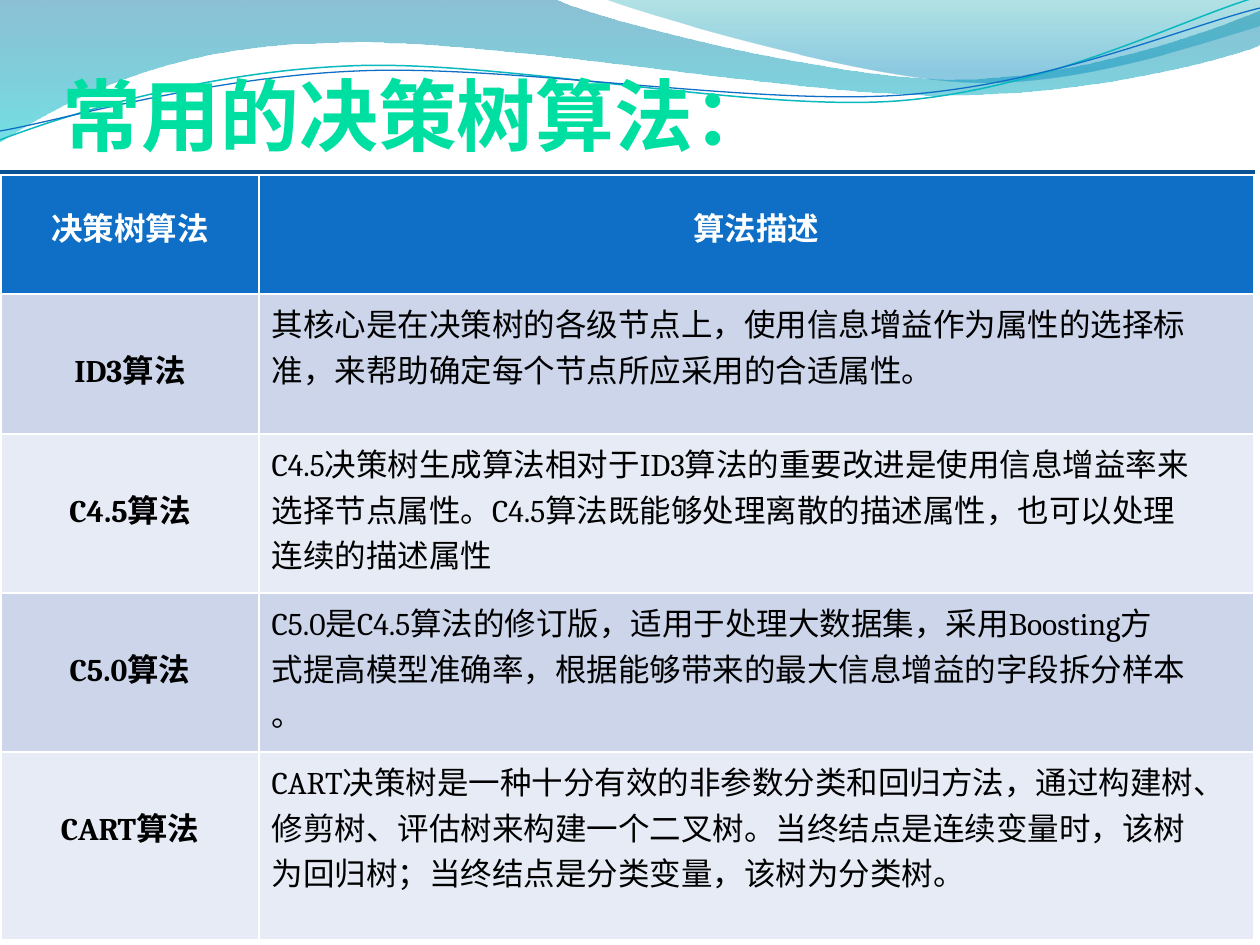
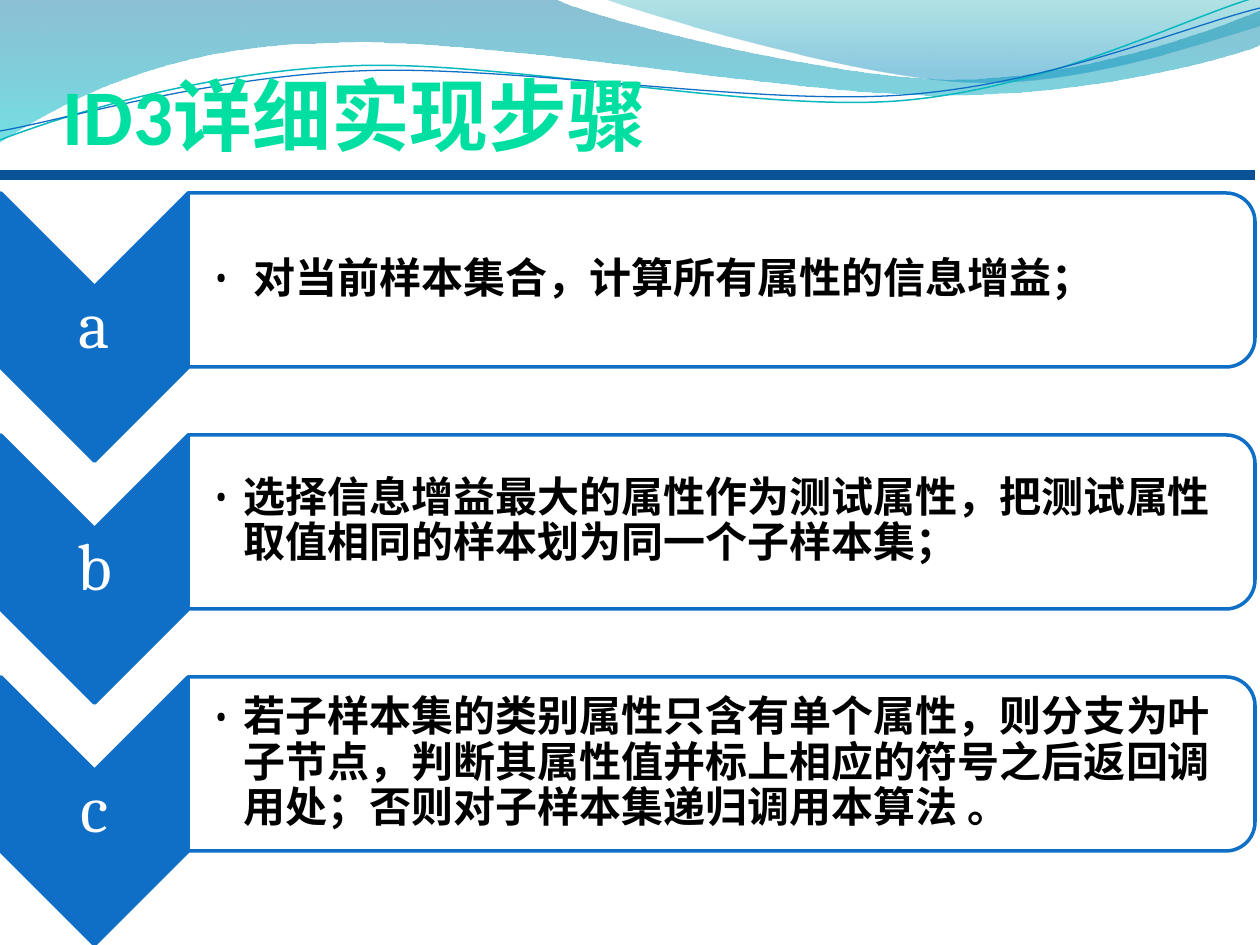
import math

from lxml import etree
from pptx import Presentation
from pptx.dml.color import RGBColor
from pptx.enum.shapes import MSO_CONNECTOR, MSO_SHAPE
from pptx.enum.text import MSO_ANCHOR, PP_ALIGN
from pptx.oxml.ns import qn
from pptx.util import Emu, Pt

STRAIGHT = MSO_CONNECTOR.STRAIGHT
CHEVRON = MSO_SHAPE.CHEVRON
ROUND_TOP = MSO_SHAPE.ROUND_2_SAME_RECTANGLE
MIDDLE, BOTTOM = MSO_ANCHOR.MIDDLE, MSO_ANCHOR.BOTTOM
LEFT, CENTER = PP_ALIGN.LEFT, PP_ALIGN.CENTER

WHITE = RGBColor(0xFF, 0xFF, 0xFF)
BLACK = RGBColor(0x00, 0x00, 0x00)
BLUE = RGBColor(0x0F, 0x6F, 0xC6)
NAVY = RGBColor(0x09, 0x52, 0x95)
MINT = RGBColor(0x00, 0xDF, 0xA2)
CYAN = RGBColor(0x0A, 0xB8, 0xBF)
WAVE_TOP = RGBColor(0x00, 0x74, 0xA1)
WAVE_END = RGBColor(0x00, 0xC6, 0xCF)
CREST_TOP = RGBColor(0x00, 0xA1, 0xA9)
CREST_END = RGBColor(0x00, 0x8B, 0xBF)
ROW_DARK = RGBColor(0xCC, 0xD5, 0xEA)
ROW_LIGHT = RGBColor(0xE7, 0xEB, 0xF5)

TITLE_FONT, BODY_FONT = "Calibri", "Cambria"
WIDTH, HEIGHT = 1260, 945
SCALE = 914400 / 126
TILT = 357.3

WAVE = [(0, 0), (554, -1), (600, 21, 837, 79, 955, 79),
        (1075, 79, 1207, 33, 1260, 11), (1261, 45),
        (1239, 55, 1096, 96, 940, 95), (784, 95, 481, 35, 324, 43),
        (163, 45, 58, 105, -1, 142), (0, 0)]
CREST = [(604, -1), (642, 14, 859, 78, 969, 82),
         (1079, 87, 1211, 40, 1260, 26), (1260, 0), (604, -1)]
CYAN_CURVE = [(0, 140), (60, 117, 199, 72, 349, 66),
              (498, 59, 747, 112, 898, 101), (1049, 89, 1182, 19, 1257, -3)]
BLUE_CURVE = [(0, 131), (59, 121, 207, 77, 357, 71),
              (508, 64, 752, 106, 903, 95), (1053, 84, 1186, 26, 1260, 8)]

ALGORITHMS = [
    ("ID3算法", ["其核心是在决策树的各级节点上，使用信息增益作为属性的选择标",
               "准，来帮助确定每个节点所应采用的合适属性。"]),
    ("C4.5算法", ["C4.5决策树生成算法相对于ID3算法的重要改进是使用信息增益率来",
                "选择节点属性。C4.5算法既能够处理离散的描述属性，也可以处理",
                "连续的描述属性"]),
    ("C5.0算法", ["C5.0是C4.5算法的修订版，适用于处理大数据集，采用Boosting方",
                "式提高模型准确率，根据能够带来的最大信息增益的字段拆分样本",
                "。"]),
    ("CART算法", ["CART决策树是一种十分有效的非参数分类和回归方法，通过构建树、",
                "修剪树、评估树来构建一个二叉树。当终结点是连续变量时，该树",
                "为回归树；当终结点是分类变量，该树为分类树。"]),
]
STEPS = [
    ("a", " 对当前样本集合，计算所有属性的信息增益；"),
    ("b", "选择信息增益最大的属性作为测试属性，把测试属性取值相同的样本划为同一个子样本集；"),
    ("c", "若子样本集的类别属性只含有单个属性，则分支为叶子节点，判断其属性值并标上相应的符号"
          "之后返回调用处；否则对子样本集递归调用本算法 。"),
]


def px(value):
    return Emu(round(value * SCALE))


def add_element(parent, tag, **attributes):
    return etree.SubElement(parent, qn(tag), attributes)


def write(frame, lines, size=18, color=BLACK, font=BODY_FONT, bold=False,
          align=LEFT, spacing=None, bullet=None):
    for index, line in enumerate(lines):
        para = frame.add_paragraph() if index else frame.paragraphs[0]
        para.alignment = align
        if spacing:
            para.line_spacing = spacing
        if bullet:
            para.level = 1
            properties = para._p.get_or_add_pPr()
            indent = px(32)
            properties.set("marL", str(indent))
            properties.set("indent", str(-indent))
            add_element(properties, "a:buFont", typeface=font)
            add_element(properties, "a:buChar", char=bullet)
        span = para.add_run()
        span.text = line
        span.font.size = Pt(size)
        span.font.name = font
        span.font.bold = bold
        span.font.color.rgb = color
        span._r.get_or_add_rPr().set("lang", "zh-CN")


def text_box(page, box, text, insets, anchor=MIDDLE, **style):
    frame = page.shapes.add_textbox(*map(px, box)).text_frame
    frame.word_wrap = True
    frame.vertical_anchor = anchor
    (frame.margin_left, frame.margin_top,
     frame.margin_right, frame.margin_bottom) = map(px, insets)
    write(frame, [text], **style)


def set_opacity(shape, *percents):
    colors = shape._element.spPr.iter(qn("a:srgbClr"))
    for color, percent in zip(colors, percents):
        add_element(color, "a:alpha", val=str(percent * 1000))


def outline(page, sections, closed, turn=None):
    points = [pair for section in sections for pair in zip(section[::2], section[1::2])]
    if turn:
        points = [turn(*point) for point in points]
    points = [(px(x), px(y)) for x, y in points]
    builder = page.shapes.build_freeform(*points[0])
    builder.add_line_segments(points[1:], close=closed)
    shape = builder.convert_to_shape()
    shape.shadow.inherit = False
    segments = iter(list(shape._element.spPr.iter(qn("a:lnTo"))))
    for section in sections[1:]:
        first = next(segments)
        if len(section) == 6:
            bend = etree.Element(qn("a:cubicBezTo"))
            first.addprevious(bend)
            for segment in (first, next(segments), next(segments)):
                bend.append(segment[0])
                segment.getparent().remove(segment)
    return shape


def band(page, sections, stops):
    shape = outline(page, sections, True)
    shape.line.fill.background()
    shape.fill.gradient()
    shape.fill.gradient_angle = 270
    for stop, (position, color, _) in zip(shape.fill.gradient_stops, stops):
        stop.position = position
        stop.color.rgb = color
    set_opacity(shape, *(opacity for _, _, opacity in stops))


def curve(page, sections, color, width, center):
    angle = math.radians(-TILT)
    cosine, sine = math.cos(angle), math.sin(angle)

    def level(x, y):
        x, y = x - center[0], y - center[1]
        return center[0] + x * cosine - y * sine, center[1] + x * sine + y * cosine

    shape = outline(page, sections, False, level)
    shape.rotation = TILT
    shape.fill.background()
    shape.line.color.rgb = color
    shape.line.width = Pt(width)


def add_page(deck, title):
    page = deck.slides.add_slide(deck.slide_layouts[6])
    band(page, WAVE, [(0, WAVE_TOP, 45), (1, WAVE_END, 55)])
    band(page, CREST, [(0, CREST_TOP, 30), (0.8, CREST_END, 45)])
    curve(page, CYAN_CURVE, CYAN, 0.85, (629, 72))
    curve(page, BLUE_CURVE, BLUE, 0.75, (629, 74))
    text_box(page, (63, 97, 1134, 157), title, (0, 6, 0, 97), anchor=BOTTOM,
             size=45, color=MINT, font=TITLE_FONT, bold=True)
    rule = page.shapes.add_connector(STRAIGHT, px(0), px(175), px(1255), px(175))
    rule.line.color.rgb = NAVY
    rule.line.width = Pt(6)
    add_element(rule._element.spPr, "a:effectLst")
    return page


def fill_cell(cell, lines, fill, **style):
    write(cell.text_frame, lines, **style)
    cell.fill.solid()
    cell.fill.fore_color.rgb = fill


def algorithm_table(page, left, top, columns, rows):
    table = page.shapes.add_table(len(rows), len(columns), px(left), px(top),
                                  px(sum(columns)), px(sum(rows))).table
    for column, width in zip(table.columns, columns):
        column.width = px(width)
    for row, height in zip(table.rows, rows):
        row.height = px(height)
    for index, heading in enumerate(("决策树算法", "算法描述")):
        fill_cell(table.cell(0, index), [heading], BLUE,
                  color=WHITE, bold=True, align=CENTER, spacing=1.5)
    for index, (name, lines) in enumerate(ALGORITHMS, 1):
        fill = ROW_DARK if index % 2 else ROW_LIGHT
        fill_cell(table.cell(index, 0), [name], fill,
                  bold=True, align=CENTER, spacing=2.0)
        fill_cell(table.cell(index, 1), lines, fill)


def turned_shape(page, kind, left, top, width, height, fill):
    shift = (width - height) / 2
    shape = page.shapes.add_shape(kind, px(left + shift), px(top - shift),
                                  px(height), px(width))
    shape.rotation = 90
    shape.shadow.inherit = False
    shape.fill.solid()
    shape.fill.fore_color.rgb = fill
    shape.line.color.rgb = BLUE
    shape.line.width = Pt(2)
    return shape


def step(page, left, top, width, letter, text):
    arrow = 187
    turned_shape(page, CHEVRON, left, top, arrow, 268, BLUE)
    text_box(page, (left, top + 93, arrow, 81), letter, (4, 4, 4, 4),
             size=38, color=WHITE, align=CENTER, spacing=0.9)
    panel = turned_shape(page, ROUND_TOP, left + arrow, top, width - arrow, 174, WHITE)
    set_opacity(panel, 90)
    text_box(page, (left + arrow, top + 8, width - arrow - 8, 157), text,
             (24, 2, 2, 2), size=24, bold=True, spacing=0.9, bullet="•")


def main():
    deck = Presentation()
    deck.slide_width, deck.slide_height = px(WIDTH), px(HEIGHT)
    page = add_page(deck, "常用的决策树算法：")
    algorithm_table(page, 1, 175, (258, 995), (119, 140, 159, 159, 188))
    page = add_page(deck, "ID3详细实现步骤")
    for index, (letter, text) in enumerate(STEPS):
        step(page, 1, 193 + 242 * index, 1254, letter, text)
    deck.save("out.pptx")


main()
